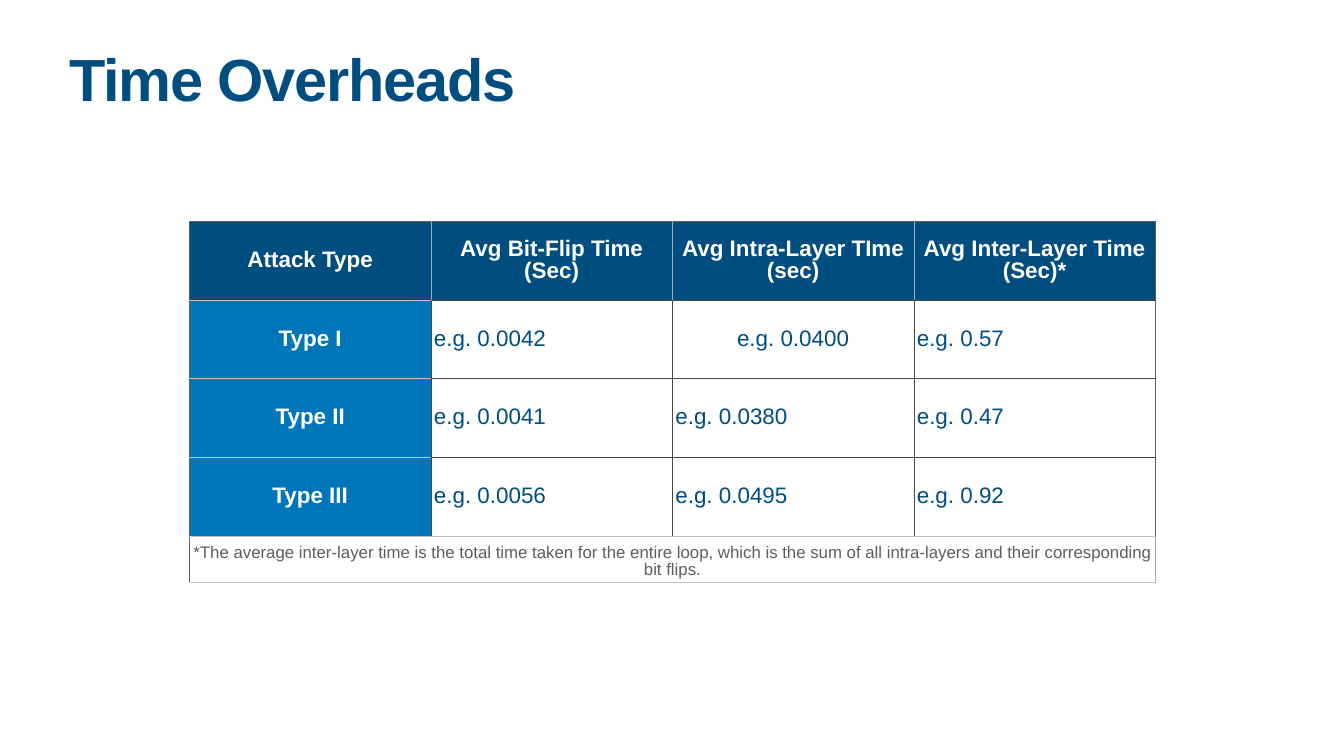
from lxml.etree import SubElement
from pptx import Presentation
from pptx.dml.color import RGBColor
from pptx.enum.text import MSO_ANCHOR as Anchor, MSO_AUTO_SIZE as AutoSize, PP_ALIGN as Align
from pptx.oxml.ns import qn
from pptx.util import Cm, Pt

NAVY = RGBColor(0x00, 0x4D, 0x80)
BLUE = RGBColor(0x00, 0x76, 0xBA)
WHITE = RGBColor(0xFF, 0xFF, 0xFF)
CHARCOAL = RGBColor(0x46, 0x46, 0x46)
GRAY = RGBColor(0x5E, 0x5E, 0x5E)
SILVER = RGBColor(0xA6, 0xAA, 0xA9)
PALE = RGBColor(0xC3, 0xC3, 0xC3)

HEADERS = ["Attack Type", "Avg Bit-Flip Time (Sec)",
           "Avg Intra-Layer TIme (sec)", "Avg Inter-Layer Time (Sec)*"]
TIMES = [
    ["Type I", "e.g. 0.0042", "e.g. 0.0400", "e.g. 0.57"],
    ["Type II", "e.g. 0.0041", "e.g. 0.0380", "e.g. 0.47"],
    ["Type III", "e.g. 0.0056", "e.g. 0.0495", "e.g. 0.92"],
]
FOOTNOTE = ("*The average inter-layer time is the total time taken for the entire loop, "
            "which is the sum of all intra-layers and their corresponding bit flips.")
INSET = Cm(0.15)


def set_borders(cell, left, right, top, bottom):
    properties = cell._tc.get_or_add_tcPr()
    edges = zip(("a:lnL", "a:lnR", "a:lnT", "a:lnB"), (left, right, top, bottom))
    for position, (tag, color) in enumerate(edges):
        line = SubElement(properties, qn(tag), w=str(Pt(1)))
        properties.insert(position, line)
        fill = SubElement(line, qn("a:solidFill"))
        SubElement(fill, qn("a:srgbClr"), val=str(color))


def format_cell(cell, text, size, color, bold, align, fill):
    cell.text = text
    cell.vertical_anchor = Anchor.MIDDLE
    cell.margin_left = cell.margin_right = cell.margin_top = cell.margin_bottom = INSET
    para = cell.text_frame.paragraphs[0]
    para.alignment = align
    para.line_spacing = 0.9
    para.font.name = "Arial"
    para.font.size = Pt(size)
    para.font.bold = bold
    para.font.color.rgb = color
    if fill is None:
        cell.fill.background()
    else:
        cell.fill.solid()
        cell.fill.fore_color.rgb = fill


deck = Presentation()
deck.slide_width, deck.slide_height = Cm(67.74), Cm(38.1)
page = deck.slides.add_slide(deck.slide_layouts[5])

title = page.shapes.title
title.left, title.top, title.width, title.height = Cm(3.35), Cm(2.64), Cm(61.04), Cm(3.99)
frame = title.text_frame
frame.text = "Time Overheads"
frame.auto_size = AutoSize.NONE
frame.word_wrap = True
frame.vertical_anchor = Anchor.TOP
frame.margin_left = frame.margin_right = frame.margin_top = frame.margin_bottom = INSET
para = frame.paragraphs[0]
para.alignment = Align.LEFT
para.line_spacing = 0.8
para.font.name = "Arial"
para.font.size = Pt(85)
para.font.bold = True
para.font.color.rgb = NAVY
para.runs[0].font._element.set("spc", "-170")

row_count, column_count = len(TIMES) + 2, len(HEADERS)
table = page.shapes.add_table(row_count, column_count, Cm(9.55), Cm(11.15),
                              Cm(48.68), Cm(18.19)).table
table.first_row = table.horz_banding = False
for column in table.columns:
    column.width = Cm(12.17)
for row in table.rows:
    row.height = Cm(3.97)
table.rows[row_count - 1].height = Cm(2.31)

for column, header in enumerate(HEADERS):
    cell = table.cell(0, column)
    format_cell(cell, header, 32, WHITE, True, Align.CENTER, NAVY)
    set_borders(cell, SILVER if column else GRAY,
                GRAY if column == column_count - 1 else SILVER, GRAY, SILVER)

for row, values in enumerate(TIMES, start=1):
    last_row = row == len(TIMES)
    for column, value in enumerate(values):
        cell = table.cell(row, column)
        if column == 0:
            format_cell(cell, value, 32, WHITE, True, Align.CENTER, BLUE)
            set_borders(cell, GRAY, SILVER, PALE, GRAY if last_row else PALE)
        else:
            align = Align.CENTER if (row, column) == (1, 2) else Align.LEFT
            format_cell(cell, value, 32, NAVY, False, align, None)
            set_borders(cell, CHARCOAL, GRAY if column == column_count - 1 else CHARCOAL,
                        CHARCOAL, GRAY if last_row else CHARCOAL)

footer = table.cell(row_count - 1, 0)
footer.merge(table.cell(row_count - 1, column_count - 1))
format_cell(footer, FOOTNOTE, 24, GRAY, False, Align.CENTER, None)
footer.margin_top = Cm(0.38)
for column in range(column_count):
    set_borders(table.cell(row_count - 1, column), GRAY, SILVER, PALE, PALE)

deck.save("out.pptx")
